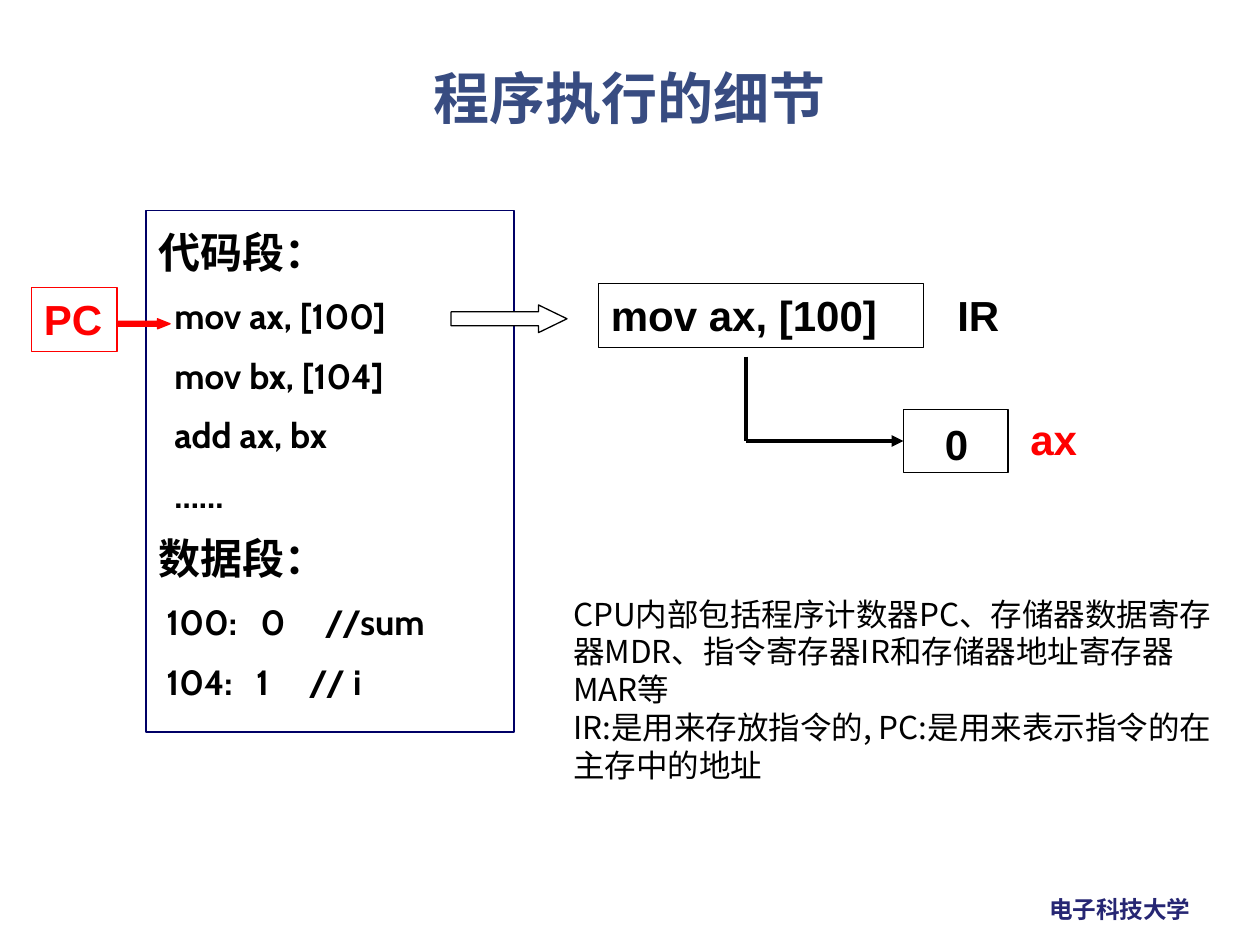
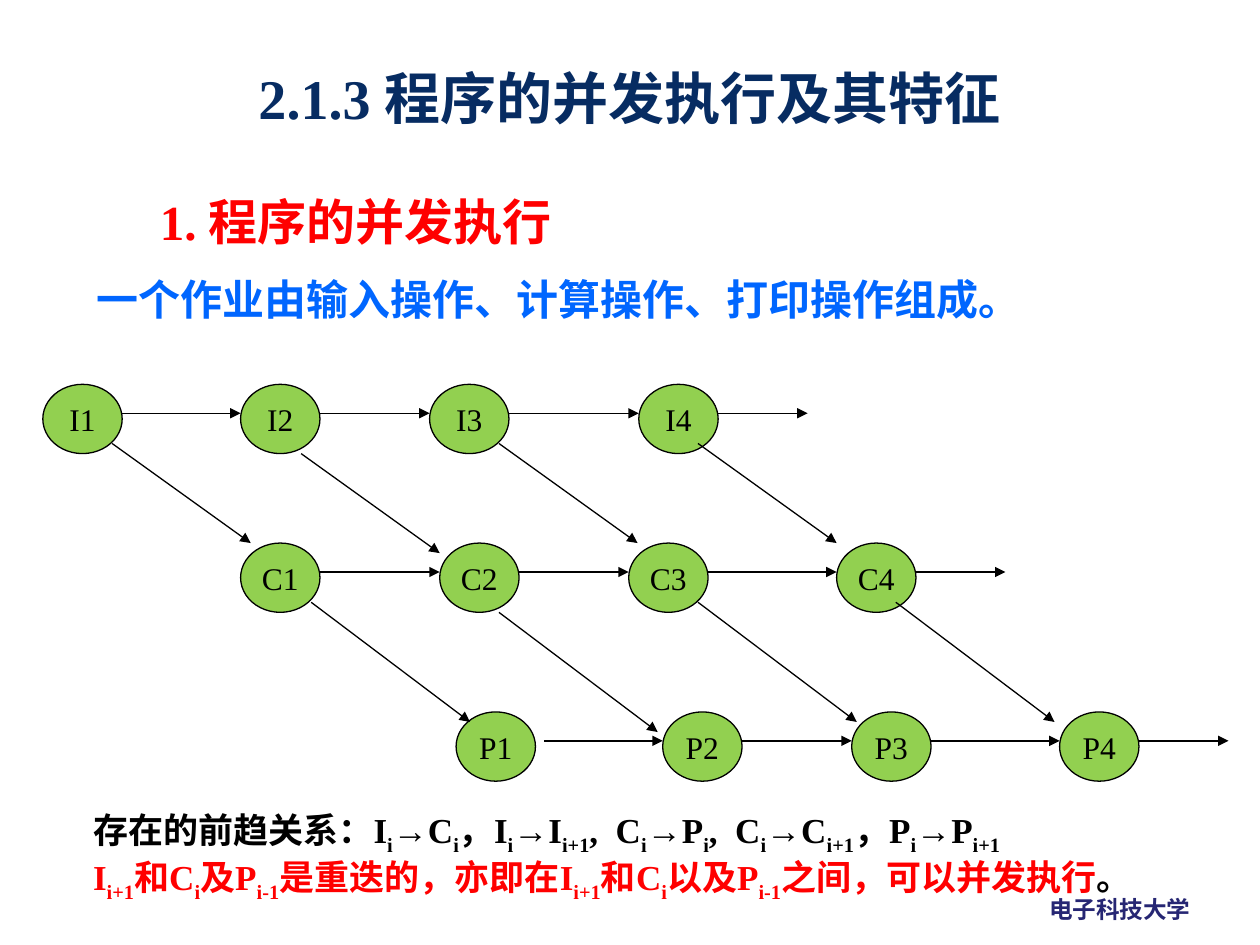
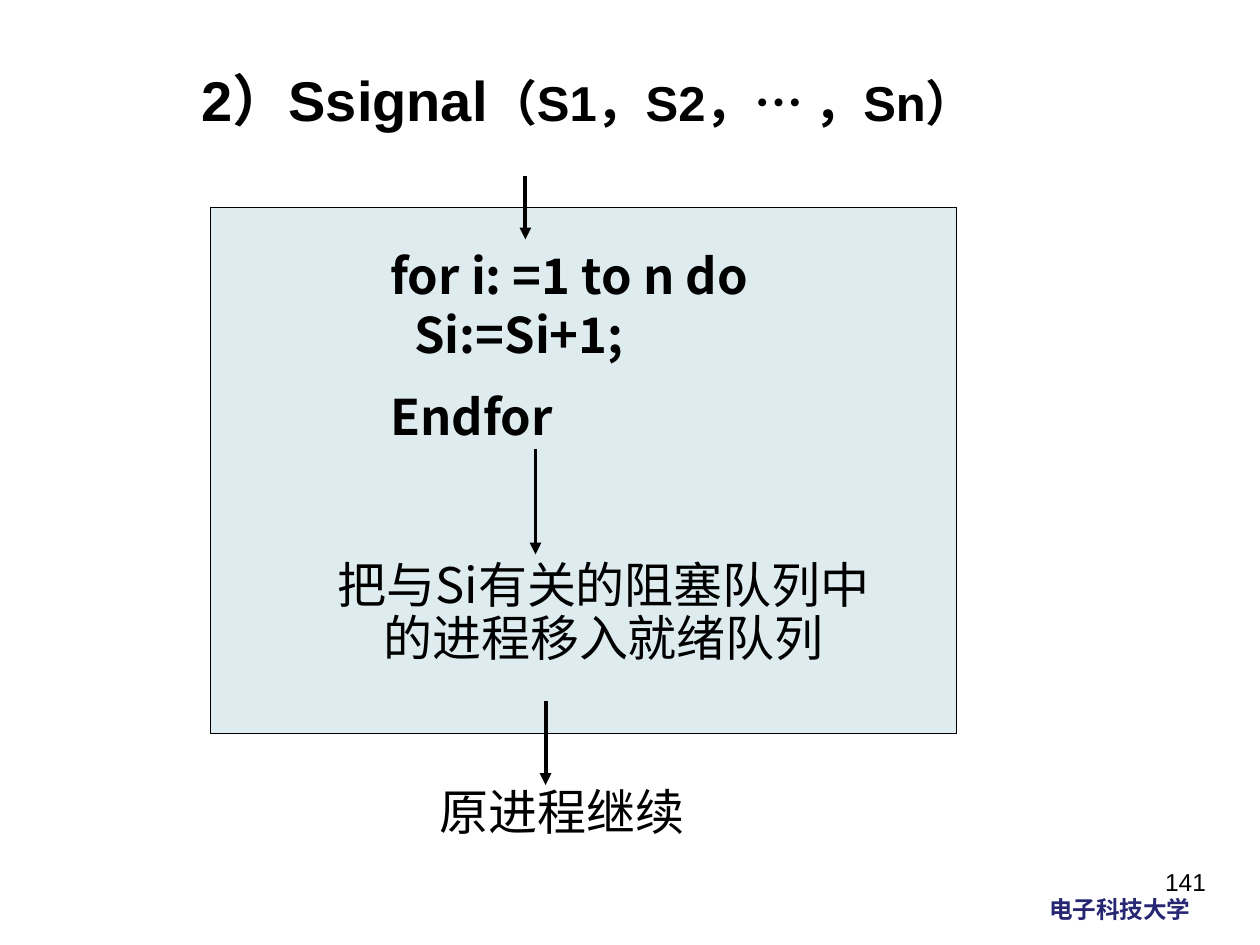
from dataclasses import dataclass

from lxml import etree
from pptx import Presentation
from pptx.dml.color import RGBColor
from pptx.enum.shapes import MSO_CONNECTOR, MSO_SHAPE
from pptx.enum.text import MSO_ANCHOR, PP_ALIGN
from pptx.oxml.ns import qn
from pptx.util import Inches, Pt

LEFT, CENTER, RIGHT, JUSTIFY = PP_ALIGN.LEFT, PP_ALIGN.CENTER, PP_ALIGN.RIGHT, PP_ALIGN.JUSTIFY
TOP, MIDDLE = MSO_ANCHOR.TOP, MSO_ANCHOR.MIDDLE
RECTANGLE, ELLIPSE, RIGHT_ARROW = MSO_SHAPE.RECTANGLE, MSO_SHAPE.OVAL, MSO_SHAPE.RIGHT_ARROW
STRAIGHT = MSO_CONNECTOR.STRAIGHT


@dataclass(frozen=True)
class Theme:
    black: str = "000000"
    white: str = "FFFFFF"
    red: str = "FF0000"
    navy: str = "000066"
    footer: str = "262673"
    title_blue: str = "384C81"
    title_navy: str = "072C62"
    bright_blue: str = "0066FF"
    green: str = "92D050"
    pale: str = "DEECEF"
    sans: str = "Arial"
    chinese: str = "Noto Sans CJK SC"
    code: str = "Cabin"
    serif: str = "Times New Roman"
    title_size: float = 32
    large: float = 28
    medium: float = 24
    code_size: float = 20
    body: float = 18
    number_size: float = 14
    footer_size: float = 13.5
    thin: float = 0.75
    thick: float = 2.25


theme = Theme()


def write(shape, lines, size, color=theme.black, font=theme.sans, bold=False,
          align=LEFT, anchor=TOP, wrap=True, before=0, leading=1.2):
    """Fill a shape with paragraphs; a bar in a line starts a new run."""
    text_frame = shape.text_frame
    text_frame.word_wrap = wrap
    text_frame.vertical_anchor = anchor
    for number, line in enumerate(lines):
        paragraph = text_frame.add_paragraph() if number else text_frame.paragraphs[0]
        paragraph.alignment = align
        paragraph.line_spacing = Pt(size * leading)
        paragraph.space_before = Pt(before if number else 0)
        for piece in line.split("|"):
            run = paragraph.add_run()
            run.text = piece
            run.font.size = Pt(size)
            run.font.bold = bold
            run.font.name = font
            run.font.color.rgb = RGBColor.from_string(color)
            east_asian = etree.SubElement(run.font._element, qn("a:ea"))
            east_asian.set("typeface", theme.chinese)
    return text_frame


def add_line(slide, start, end, width, arrow=True):
    points = [Inches(value) for value in (*start, *end)]
    line = slide.shapes.add_connector(STRAIGHT, *points)
    line.line.color.rgb = RGBColor.from_string(theme.black)
    line.line.width = Pt(width)
    if arrow:
        etree.SubElement(line.line._get_or_add_ln(), qn("a:tailEnd")).set("type", "triangle")
    etree.SubElement(line._element.spPr, qn("a:effectLst"))
    return line


presentation = Presentation()
presentation.slide_width = Inches(10)
presentation.slide_height = Inches(7.5)

# Shared footer and titles
titles = [
    ("程序执行的细节", (0.68, 0.5, 8.64, 0.6), theme.title_blue, theme.chinese, CENTER),
    ("2.1.3 程序的并发执行及其特征", (0.68, 0.5, 8.64, 0.6), theme.title_navy, theme.serif, CENTER),
    ("2）Ssignal|（S1，S2，… ，Sn）", (1.5, 0.48, 8.5, 0.67), theme.black, theme.sans, LEFT),
]
slides = []
title_frames = []
for title, box, color, font, align in titles:
    slide = presentation.slides.add_slide(presentation.slide_layouts[6])
    footer = slide.shapes.add_textbox(Inches(8.23), Inches(7.05), Inches(1.34), Inches(0.33))
    write(footer, ["电子科技大学"], theme.footer_size, theme.footer, theme.chinese, True, wrap=False)
    title_box = slide.shapes.add_textbox(*map(Inches, box))
    title_frames.append(write(title_box, [title], theme.title_size, color, font, True,
                              align, MIDDLE, leading=1.08))
    slides.append(slide)
execution_slide, concurrency_slide, signal_slide = slides

# Slide 1: memory, registers and block arrows
blocks = {}
for name, preset, box, fill, outline in [
    ("memory", RECTANGLE, (1.16, 1.67, 2.92, 4.14), theme.white, theme.navy),
    ("fetch", RIGHT_ARROW, (3.58, 2.42, 0.92, 0.22), theme.white, theme.black),
    ("PC", RECTANGLE, (0.25, 2.28, 0.68, 0.51), None, theme.red),
    ("PC arrow", RIGHT_ARROW, (0.93, 2.53, 0.42, 0.08), theme.red, theme.red),
    ("IR", RECTANGLE, (4.75, 2.25, 2.58, 0.51), None, theme.black),
    ("ax", RECTANGLE, (7.17, 3.25, 0.83, 0.5), None, theme.black),
]:
    block = execution_slide.shapes.add_shape(preset, *map(Inches, box))
    block.shadow.inherit = False
    if fill:
        block.fill.solid()
        block.fill.fore_color.rgb = RGBColor.from_string(fill)
    else:
        block.fill.background()
    block.line.color.rgb = RGBColor.from_string(outline)
    block.line.width = Pt(theme.thin)
    blocks[name] = block
blocks["fetch"].adjustments[1] = 1.03
blocks["PC arrow"].adjustments[1] = 1.25
write(blocks["PC"], ["PC"], theme.medium, theme.red, bold=True, wrap=False)
write(blocks["IR"], ["mov ax, [100]"], theme.medium, bold=True)

# Slide 1: program listing
listing = ["代码段：", "  mov ax, [100]", "  mov bx, [104]", "  add ax, bx", "  ……",
           "数据段：", " 100:   0     //sum", " 104:   1     // i"]
listing_box = execution_slide.shapes.add_textbox(Inches(1.16), Inches(1.75), Inches(3.5), Inches(4.14))
listing_frame = write(listing_box, listing, theme.code_size, font=theme.code, bold=True, before=10)
for paragraph in listing_frame.paragraphs:
    if paragraph.text.endswith("："):
        paragraph.line_spacing = Pt(theme.medium * 1.2)
        paragraph.runs[0].font.size = Pt(theme.medium)
        paragraph.runs[0].font.name = theme.sans

# Slide 1: register labels and explanation
for label, box, color in [
    ("IR", (7.5, 2.25, 1, 0.5), theme.black),
    ("ax", (8.08, 3.23, 1, 0.5), theme.red),
    ("0", (7.4, 3.27, 0.42, 0.5), theme.black),
]:
    label_box = execution_slide.shapes.add_textbox(*map(Inches, box))
    write(label_box, [label], theme.medium, color, bold=True)
add_line(execution_slide, (5.92, 2.83), (5.92, 3.5), theme.thick, arrow=False)
load_arrow = add_line(execution_slide, (5.92, 3.5), (7.17, 3.5), theme.thick)
load_arrow.end_connect(blocks["ax"], 1)
explanation = execution_slide.shapes.add_textbox(Inches(4.45), Inches(4.67), Inches(5.4), Inches(1.62))
write(explanation, [
    "CPU内部包括程序计数器PC、存储器数据寄存器MDR、指令寄存器IR和存储器地址寄存器MAR等",
    "IR:是用来存放指令的, PC:是用来表示指令的在主存中的地址",
], theme.body, font=theme.chinese)

# Slide 2: headings
heading = concurrency_slide.shapes.add_textbox(Inches(1.17), Inches(1.47), Inches(3.41), Inches(0.57))
write(heading, ["1. 程序的并发执行"], theme.large, theme.red, theme.serif, True, wrap=False)
statement = concurrency_slide.shapes.add_textbox(Inches(0.67), Inches(2.12), Inches(8.67), Inches(0.5))
write(statement, ["一个作业由输入操作、计算操作、打印操作组成。"], theme.medium, theme.bright_blue, bold=True)

# Slide 2: precedence relations with subscripts
relations_box = concurrency_slide.shapes.add_textbox(Inches(0.64), Inches(6.37), Inches(8.76), Inches(0.77))
relations = write(relations_box, [
    "存在的前趋关系：I|i|→C|i|，I|i|→I|i+1|,  C|i|→P|i|,  C|i|→C|i+1|，P|i|→P|i+1",
    "I|i+1|和C|i|及P|i-1|是重迭的，亦即在I|i+1|和C|i|以及P|i-1|之间，可以并发执行|。",
], theme.code_size, font=theme.serif, bold=True, align=JUSTIFY, leading=1.35)
for paragraph in relations.paragraphs:
    for run in paragraph.runs:
        if run.text in ("i", "i+1", "i-1"):
            run.font._element.set("baseline", "-25000")
for run in relations.paragraphs[1].runs[:-1]:
    run.font.color.rgb = RGBColor.from_string(theme.red)

# Slide 2: operation nodes and the arrows along each row
node_width, node_height = 0.63, 0.55
for letter, top, lefts, first_start in [
    ("I", 3.05, (0.34, 1.91, 3.41, 5.07), 0.97),
    ("C", 4.31, (1.91, 3.49, 4.99, 6.64), 2.54),
    ("P", 5.65, (3.62, 5.26, 6.76, 8.41), 4.32),
]:
    starts = [first_start] + [left + node_width for left in lefts[1:]]
    ends = [*lefts[1:], starts[-1] + 0.71]
    for number, (left, start, end) in enumerate(zip(lefts, starts, ends), 1):
        node = concurrency_slide.shapes.add_shape(
            ELLIPSE, Inches(left), Inches(top), Inches(node_width), Inches(node_height))
        node.shadow.inherit = False
        node.fill.solid()
        node.fill.fore_color.rgb = RGBColor.from_string(theme.green)
        node.line.color.rgb = RGBColor.from_string(theme.black)
        node.line.width = Pt(theme.thin)
        write(node, [f"{letter}{number}"], theme.body, font=theme.serif,
              align=CENTER, anchor=MIDDLE, wrap=False)
        add_line(concurrency_slide, (start, top + 0.23), (end, top + 0.23), theme.thin)

# Slide 2: arrows from one row down to the next
for starts, top, across, down in [
    ((0.89, 2.39, 3.96, 5.54), 3.52, 1.1, 0.79),
    ((2.47, 3.96, 5.54, 7.11), 4.78, 1.26, 0.95),
]:
    for number, left in enumerate(starts):
        start_top = top + (0.08 if number == 1 else 0)
        add_line(concurrency_slide, (left, start_top), (left + across, start_top + down), theme.thin)

# Slide 3: page number, panel and title sizes
title_frames[2].paragraphs[0].runs[1].font.size = Pt(theme.large)
page_number = signal_slide.shapes.add_textbox(Inches(7.17), Inches(6.83), Inches(2.5), Inches(0.52))
write(page_number, ["141"], theme.number_size, align=RIGHT)
panel = signal_slide.shapes.add_shape(RECTANGLE, Inches(1.67), Inches(1.65), Inches(5.92), Inches(4.17))
panel.shadow.inherit = False
panel.fill.solid()
panel.fill.fore_color.rgb = RGBColor.from_string(theme.pale)
panel.line.color.rgb = RGBColor.from_string(theme.black)
panel.line.width = Pt(theme.thin)

# Slide 3: loop, following steps and flow arrows
loop_box = signal_slide.shapes.add_textbox(Inches(3), Inches(1.9), Inches(3.83), Inches(1.83))
loop_frame = write(loop_box, ["for i: =1 to n do", "Si:=Si+1;", "Endfor"],
                   theme.large, font=theme.chinese, bold=True)
loop_frame.paragraphs[1]._p.get_or_add_pPr().set("marL", str(Inches(0.19)))
loop_frame.paragraphs[2].space_before = Pt(13.5)
wake_box = signal_slide.shapes.add_textbox(Inches(2.5), Inches(4.4), Inches(4.58), Inches(0.95))
write(wake_box, ["把与Si有关的阻塞队列中的进程移入就绪队列"], theme.large,
      font=theme.chinese, align=CENTER, leading=1.08)
continue_box = signal_slide.shapes.add_textbox(Inches(3.38), Inches(6.15), Inches(2.16), Inches(0.57))
write(continue_box, ["原进程继续"], theme.large, align=CENTER, wrap=False)
for left, top, bottom in [(4.17, 1.4, 1.9), (4.25, 3.56, 4.4), (4.33, 5.56, 6.23)]:
    add_line(signal_slide, (left, top), (left, bottom), theme.thick)

presentation.save("out.pptx")
